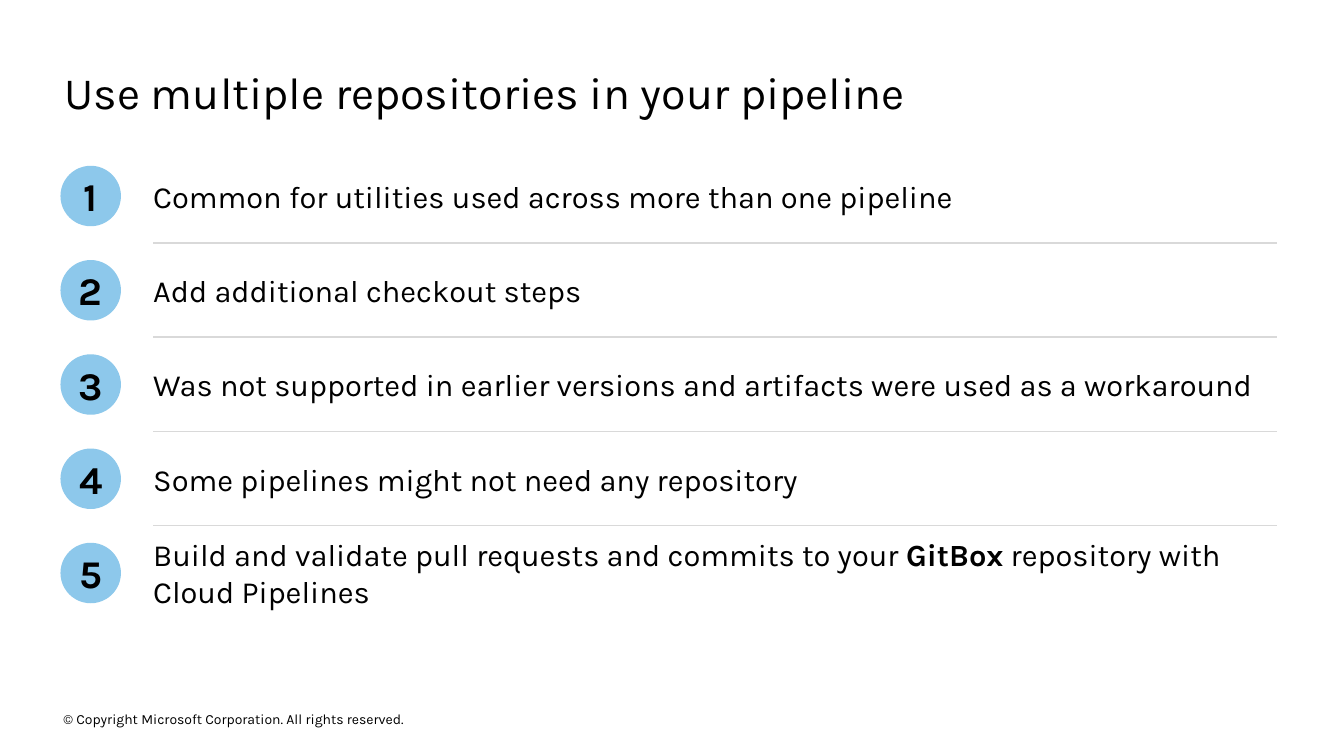
from pptx import Presentation
from pptx.dml.color import RGBColor
from pptx.enum.shapes import MSO_CONNECTOR, MSO_SHAPE
from pptx.enum.text import MSO_ANCHOR, MSO_AUTO_SIZE, PP_ALIGN
from pptx.oxml.ns import qn
from pptx.util import Inches, Pt

STRAIGHT = MSO_CONNECTOR.STRAIGHT
OVAL = MSO_SHAPE.OVAL
TOP, MIDDLE = MSO_ANCHOR.TOP, MSO_ANCHOR.MIDDLE
NO_AUTOFIT = MSO_AUTO_SIZE.NONE
LEFT, CENTER = PP_ALIGN.LEFT, PP_ALIGN.CENTER

FONT = "Karla"
COLORS = {"text": "000000", "badge": "8DC8EB", "rule": "D9D9D9"}

SLIDE_W, SLIDE_H = 13.33, 7.5
BADGE_COL, TEXT_COL = 0.6, 1.52
TEXT_W, RULE_END = 11.17, 12.67
FIRST_ROW, ROW_PITCH = 1.59, 0.935
ROW_H, BADGE_SIZE, RULE_OFFSET = 0.71, 0.6, 0.82

TITLE = "Use multiple repositories in your pipeline"
COPYRIGHT = "© Copyright Microsoft Corporation. All rights reserved."
ITEMS = [
    [("Common for utilities used across more than one pipeline", False)],
    [("Add additional checkout steps", False)],
    [("Was not supported in earlier versions and artifacts were used as a workaround", False)],
    [("Some pipelines might not need any repository", False)],
    [
        ("Build and validate pull requests and commits to your ", False),
        ("GitBox", True),
        (" repository with Cloud Pipelines", False),
    ],
]


def color(name):
    return RGBColor.from_string(COLORS[name])


def box(left, top, width, height):
    return [Inches(v) for v in (left, top, width, height)]


def write(sp, runs, size, anchor=MIDDLE, align=LEFT):
    tf = sp.text_frame
    tf.word_wrap = True
    tf.auto_size = NO_AUTOFIT
    tf.vertical_anchor = anchor
    tf.margin_left = tf.margin_top = tf.margin_right = tf.margin_bottom = 0
    p = tf.paragraphs[0]
    p.alignment = align
    p.font.name = FONT
    p.font.size = Pt(size)
    p.font.color.rgb = color("text")
    for text, bold in runs:
        r = p.add_run()
        r.text = text
        if bold:
            r.font.bold = True
    return p


def add_title(s):
    sp = s.shapes.title
    sp.left, sp.top, sp.width, sp.height = box(0.64, 0.64, 8.96, 0.54)
    write(sp, [(TITLE, False)], 32, anchor=TOP)


def add_text(s, bounds, runs, size):
    return write(s.shapes.add_textbox(*bounds), runs, size)


def add_badge(s, number, top):
    sp = s.shapes.add_shape(OVAL, *box(BADGE_COL, top, BADGE_SIZE, BADGE_SIZE))
    sp.shadow.inherit = False
    sp.fill.solid()
    sp.fill.fore_color.rgb = color("badge")
    sp.line.fill.background()
    write(sp, [(str(number), True)], 28, align=CENTER)


def add_rule(s, y):
    line = s.shapes.add_connector(
        STRAIGHT, Inches(TEXT_COL), Inches(y), Inches(RULE_END), Inches(y)
    )
    line.line.color.rgb = color("rule")
    line.line.width = Pt(1)
    sp_pr = line._element.spPr
    sp_pr.append(sp_pr.makeelement(qn("a:effectLst"), {}))


def add_item(s, index, runs):
    top = FIRST_ROW + index * ROW_PITCH
    add_badge(s, index + 1, top + (ROW_H - BADGE_SIZE) / 2)
    p = add_text(s, box(TEXT_COL, top, TEXT_W, ROW_H), runs, 22)
    p.space_after = Pt(6)
    if index < len(ITEMS) - 1:
        add_rule(s, top + RULE_OFFSET)


def main():
    prs = Presentation()
    prs.slide_width, prs.slide_height = Inches(SLIDE_W), Inches(SLIDE_H)
    s = prs.slides.add_slide(prs.slide_layouts[5])
    add_title(s)
    for index, runs in enumerate(ITEMS):
        add_item(s, index, runs)
    add_text(s, box(0.63, 7.02, 4.54, 0.22), [(COPYRIGHT, False)], 10)
    prs.save("out.pptx")


if __name__ == "__main__":
    main()
